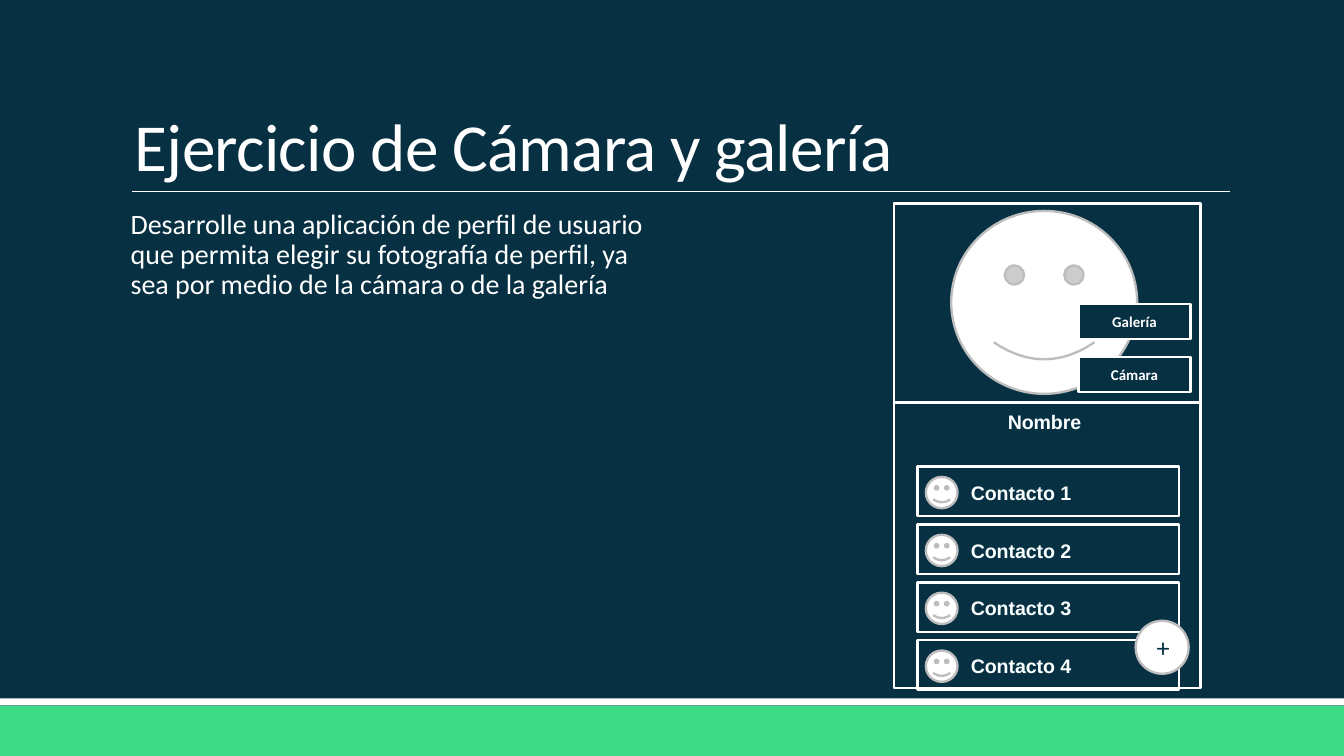
import pptx
import pptx.util
import pptx.dml.color
import pptx.enum.shapes
import pptx.enum.text
import pptx.oxml.ns
import lxml.etree

Pt = pptx.util.Pt
MSO = pptx.enum.shapes.MSO_SHAPE
ALIGN = pptx.enum.text.PP_ALIGN
ANCHOR = pptx.enum.text.MSO_ANCHOR
AUTO = pptx.enum.text.MSO_AUTO_SIZE

NAVY, GREEN, WHITE, GRAY, PALE = "073042", "3DDB85", "FFFFFF", "BDBDBD", "F9FFFF"
LABEL = {"name": "Arial", "size": Pt(10.5), "bold": True}
BUTTON = {"name": "Calibri", "size": Pt(8), "bold": True}


def rgb(color):
    return pptx.dml.color.RGBColor.from_string(color)


def set_attrs(obj, values):
    for name, value in values.items():
        setattr(obj, name, value)


def write(sp, text, color, font, frame=None, para=None):
    tf = sp.text_frame
    set_attrs(tf, frame or {})
    p = tf.paragraphs[0]
    set_attrs(p, para or {})
    r = p.add_run()
    r.text = text
    set_attrs(r.font, font)
    r.font.color.rgb = rgb(color)
    return r


def add_shape(slide, kind, box, fill=None, line=None):
    sp = slide.shapes.add_shape(kind, *map(Pt, box))
    sp.shadow.inherit = False
    if fill:
        sp.fill.solid()
        sp.fill.fore_color.rgb = rgb(fill)
    else:
        sp.fill.background()
    if line:
        sp.line.color.rgb = rgb(line)
        sp.line.width = Pt(1.25)
    else:
        sp.line.fill.background()
    return sp


def add_label(slide, text, box):
    sp = slide.shapes.add_textbox(*map(Pt, box))
    write(sp, text, PALE, LABEL, {"word_wrap": False})


def add_background(slide, width, height):
    slide.background.fill.solid()
    slide.background.fill.fore_color.rgb = rgb(NAVY)
    add_shape(slide, MSO.RECTANGLE, (0, height - 27, width, 27), GREEN)
    add_shape(slide, MSO.RECTANGLE, (0, height - 30.8, width, 3.8), WHITE)


def add_title(slide, text, x, y, w, h):
    sp = slide.shapes.title
    set_attrs(sp, {"left": Pt(x), "top": Pt(y), "width": Pt(w), "height": Pt(h)})
    r = write(sp, text, WHITE, {"name": "Calibri", "size": Pt(36)},
              {"vertical_anchor": ANCHOR.BOTTOM, "word_wrap": True, "auto_size": AUTO.NONE},
              {"alignment": ALIGN.LEFT, "line_spacing": 0.85})
    r.font._element.set("spc", "-40")
    rule = slide.shapes.add_connector(pptx.enum.shapes.MSO_CONNECTOR.STRAIGHT,
                                      Pt(x + 6), Pt(y + h), Pt(x + w), Pt(y + h))
    rule.line.color.rgb = rgb(WHITE)
    rule.line.width = Pt(0.5)
    lxml.etree.SubElement(rule._element.spPr, pptx.oxml.ns.qn("a:effectLst"))


def add_body(slide, text, box):
    sp = slide.shapes.add_textbox(*map(Pt, box))
    write(sp, text, WHITE, {"name": "Calibri", "size": Pt(15)},
          {"word_wrap": True, "margin_left": Pt(5), "margin_right": 0},
          {"line_spacing": 0.9, "space_before": Pt(9), "space_after": Pt(1.5)})


def add_contact(slide, text, x, y, w, h):
    add_shape(slide, MSO.RECTANGLE, (x, y, w, h), line=WHITE)
    add_shape(slide, MSO.SMILEY_FACE, (x + 4.5, y + 5.5, 17, 16.8), WHITE, GRAY)
    add_label(slide, text, (x + 21.5, y + 4, 69, 20))


def add_profile(slide, x, y, w, h):
    photo_h = 106.6
    add_shape(slide, MSO.RECTANGLE, (x, y, w, h), line=WHITE)
    add_shape(slide, MSO.RECTANGLE, (x, y, w, photo_h), line=WHITE)
    add_shape(slide, MSO.SMILEY_FACE, (x + 30.8, y + 4, 99.6, 98), WHITE, GRAY)
    for i, text in enumerate(("Galería", "Cámara")):
        sp = add_shape(slide, MSO.RECTANGLE, (x + 99, y + 53.8 + i * 28.3, 60, 19), NAVY, WHITE)
        write(sp, text, WHITE, BUTTON, {"vertical_anchor": ANCHOR.MIDDLE},
              {"alignment": ALIGN.CENTER})
    add_label(slide, "Nombre", (x + 54, y + photo_h + 0.6, 57, 20.6))
    for i in range(4):
        add_contact(slide, f"Contacto {i + 1}", x + 12.7, y + 141 + i * 31, w - 24.4, 26.5)
    sp = add_shape(slide, MSO.OVAL, (x + 129.6, y + 223.6, 28.4, 28.4), WHITE, GRAY)
    write(sp, "+", NAVY, {"name": "Calibri", "size": Pt(14)},
          {"vertical_anchor": ANCHOR.MIDDLE}, {"alignment": ALIGN.CENTER})


def main():
    prs = pptx.Presentation()
    set_attrs(prs, {"slide_width": Pt(720), "slide_height": Pt(405)})
    slide = prs.slides.add_slide(prs.slide_layouts[5])
    add_background(slide, 720, 405)
    add_title(slide, "Ejercicio de Cámara y galería", 65, 17, 594, 85.8)
    add_body(slide, "Desarrolle una aplicación de perfil de usuario que permita elegir su "
             "fotografía de perfil, ya sea por medio de la cámara o de la galería",
             (65, 109, 295, 237))
    add_profile(slide, 478.8, 109, 164.4, 259.6)
    prs.save("out.pptx")


if __name__ == "__main__":
    main()
